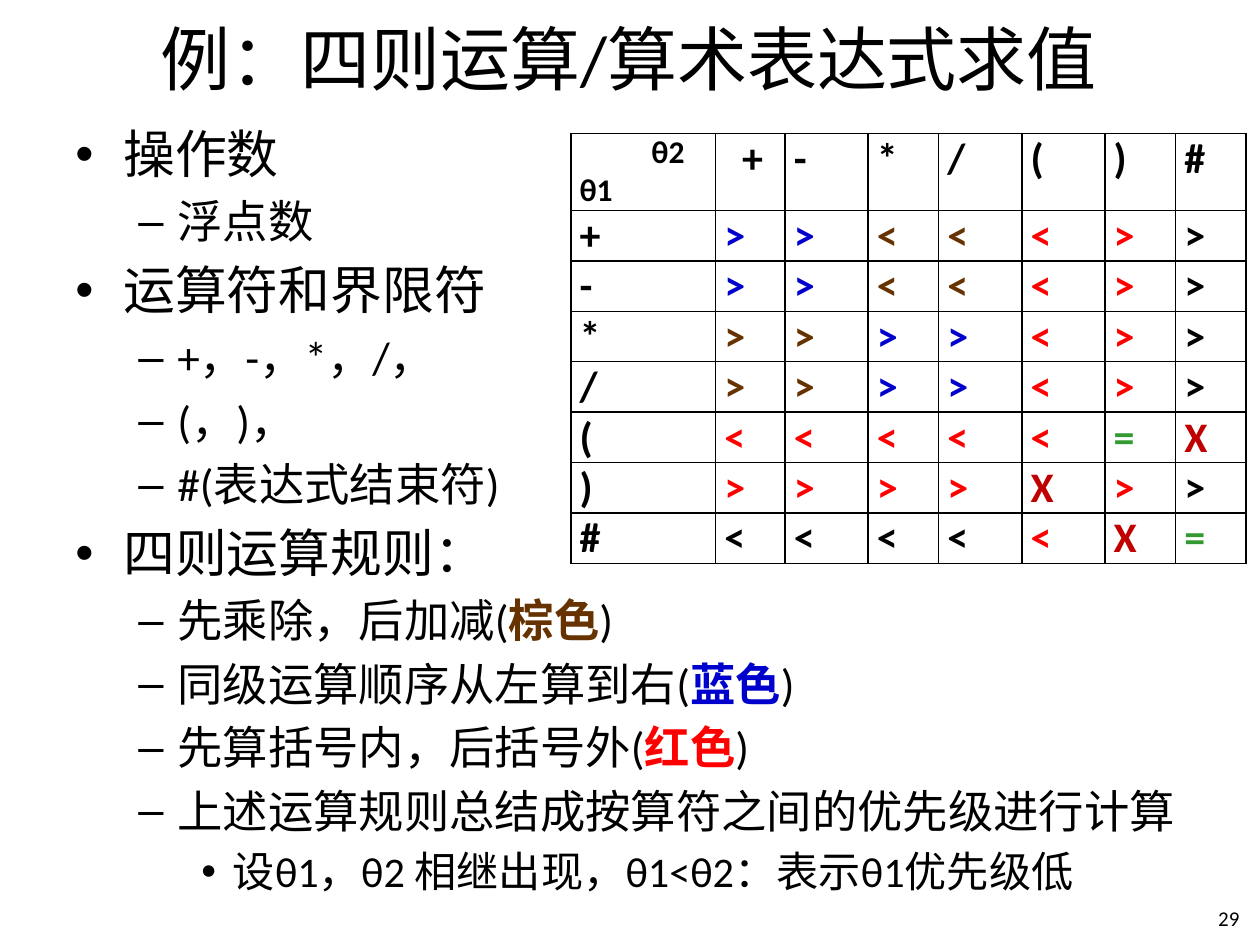
from lxml import etree
from pptx import Presentation
from pptx.dml.color import RGBColor
from pptx.enum.text import MSO_ANCHOR, PP_ALIGN
from pptx.oxml.ns import qn
from pptx.util import Inches, Pt

CENTER = PP_ALIGN.CENTER
MIDDLE, TOP = MSO_ANCHOR.MIDDLE, MSO_ANCHOR.TOP

BLACK = RGBColor(0x00, 0x00, 0x00)
BROWN = RGBColor(0x66, 0x33, 0x00)
BLUE = RGBColor(0x00, 0x00, 0xCC)
RED = RGBColor(0xFF, 0x00, 0x00)
GREEN = RGBColor(0x33, 0x99, 0x33)
DARK_RED = RGBColor(0xC0, 0x00, 0x00)

WIDTH, HEIGHT = 10, 7.5
FONT = "Calibri"

# Size, left indent, hanging indent and bullet of each list level
LEVELS = [
    (29.6, 0.38, 0.38, "•"),
    (25.9, 0.81, 0.31, "–"),
    (24.1, 1.25, 0.25, "•"),
]

# Level, then text or (text, colour) runs
POINTS = [
    (0, "操作数"),
    (1, "浮点数"),
    (0, "运算符和界限符"),
    (1, "+，-，*，/，"),
    (1, "(，)，"),
    (1, "#(表达式结束符)"),
    (0, "四则运算规则："),
    (1, "先乘除，后加减(", ("棕色", BROWN), ")"),
    (1, "同级运算顺序从左算到右(", ("蓝色", BLUE), ")"),
    (1, "先算括号内，后括号外(", ("红色", RED), ")"),
    (1, "上述运算规则总结成按算符之间的优先级进行计算"),
    (2, "设θ1，θ2 相继出现，θ1<θ2：表示θ1优先级低"),
]

SIGNS = "+-*/()#"
RANKS = [">><<<>>", ">><<<>>", ">>>><>>", ">>>><>>",
         "<<<<<=X", ">>>>X>>", "<<<<<X="]
COLS = [1.15, 0.55, 0.66, 0.56, 0.66, 0.66, 0.56, 0.56]
HEAD_ROW, ROW = 0.61, 0.4


def write(para, text, size=24, color=BLACK, bold=False, left=0, align=None):
    """Add one formatted run to a paragraph."""
    run = para.add_run()
    run.text = text
    font = run.font
    font.name, font.size, font.bold = FONT, Pt(size), bold
    font.color.rgb = color
    if left:
        para._p.get_or_add_pPr().set("marL", str(Inches(left)))
    if align is not None:
        para.alignment = align


def add_box(slide, box, anchor=TOP):
    frame = slide.shapes.add_textbox(*map(Inches, box)).text_frame
    frame.word_wrap = True
    frame.vertical_anchor = anchor
    return frame


def add_title(slide, box):
    para = add_box(slide, box, MIDDLE).paragraphs[0]
    write(para, "例：四则运算/算术表达式求值", size=40, align=CENTER)


def add_list(slide, box):
    frame = add_box(slide, box)
    for row, (level, *runs) in enumerate(POINTS):
        para = frame.add_paragraph() if row else frame.paragraphs[0]
        size, left, hang, mark = LEVELS[level]
        para.level = level
        para.space_before = Pt(size * 0.2)
        for run in runs:
            if isinstance(run, tuple):
                text, color = run
                write(para, text, size=size, color=color, bold=True)
            else:
                write(para, run, size=size, left=left)
        props = para._p.get_or_add_pPr()
        props.set("indent", str(-Inches(hang)))
        font = etree.SubElement(props, qn("a:buFont"))
        font.set("typeface", "Arial")
        etree.SubElement(props, qn("a:buChar")).set("char", mark)


def pick_color(first, second, rank):
    """Colour a rank by the rule that decides it."""
    if rank in "=X":
        return GREEN if rank == "=" else DARK_RED
    if second == "#":
        return BLACK
    if first in "()" or second in "()":
        return RED
    if first == "#":
        return BLACK
    return BLUE if (first in "+-") == (second in "+-") else BROWN


def style_cell(cell):
    cell.margin_left = cell.margin_right = Inches(0.07)
    cell.margin_top = cell.margin_bottom = 0
    cell.fill.background()
    props = cell._tc.get_or_add_tcPr()
    for pos, side in enumerate(("lnL", "lnR", "lnT", "lnB")):
        line = etree.Element(qn("a:" + side), w=str(Pt(1)))
        fill = etree.SubElement(line, qn("a:solidFill"))
        etree.SubElement(fill, qn("a:srgbClr")).set("val", str(BLACK))
        props.insert(pos, line)


def add_ranks(slide, box):
    count = len(SIGNS) + 1
    table = slide.shapes.add_table(count, count, *map(Inches, box)).table
    table.first_row = table.horz_banding = False
    for col, width in zip(table.columns, COLS):
        col.width = Inches(width)
    for num, row in enumerate(table.rows):
        row.height = Inches(ROW if num else HEAD_ROW)
    for cell in table.iter_cells():
        style_cell(cell)

    # Corner cell
    frame = table.cell(0, 0).text_frame
    write(frame.paragraphs[0], "θ2", size=18, bold=True, left=0.57)
    write(frame.add_paragraph(), "θ1", size=18, bold=True)

    # Signs on both edges, ranks inside
    for i, first in enumerate(SIGNS, 1):
        head = table.cell(0, i).text_frame.paragraphs[0]
        write(head, first, bold=True, left=0.14 if i == 1 else 0)
        side = table.cell(i, 0).text_frame.paragraphs[0]
        write(side, first, bold=True)
        for j, second in enumerate(SIGNS, 1):
            rank = RANKS[i - 1][j - 1]
            para = table.cell(i, j).text_frame.paragraphs[0]
            write(para, rank, bold=True, color=pick_color(first, second, rank))


def add_number(slide, box):
    write(add_box(slide, box).paragraphs[0], "29", size=12)


def main():
    deck = Presentation()
    deck.slide_width, deck.slide_height = Inches(WIDTH), Inches(HEIGHT)
    slide = deck.slides.add_slide(deck.slide_layouts[6])
    top = 0.92
    add_title(slide, (0.49, 0, WIDTH * 0.9, top))
    add_list(slide, (WIDTH * 0.05, top, WIDTH * 0.9, HEIGHT - top))
    add_number(slide, (WIDTH - 0.43, HEIGHT - 0.36, 0.43, 0.36))
    add_ranks(slide, (4.53, 1.06, sum(COLS), HEAD_ROW + ROW * len(SIGNS)))
    deck.save("out.pptx")


if __name__ == "__main__":
    main()
